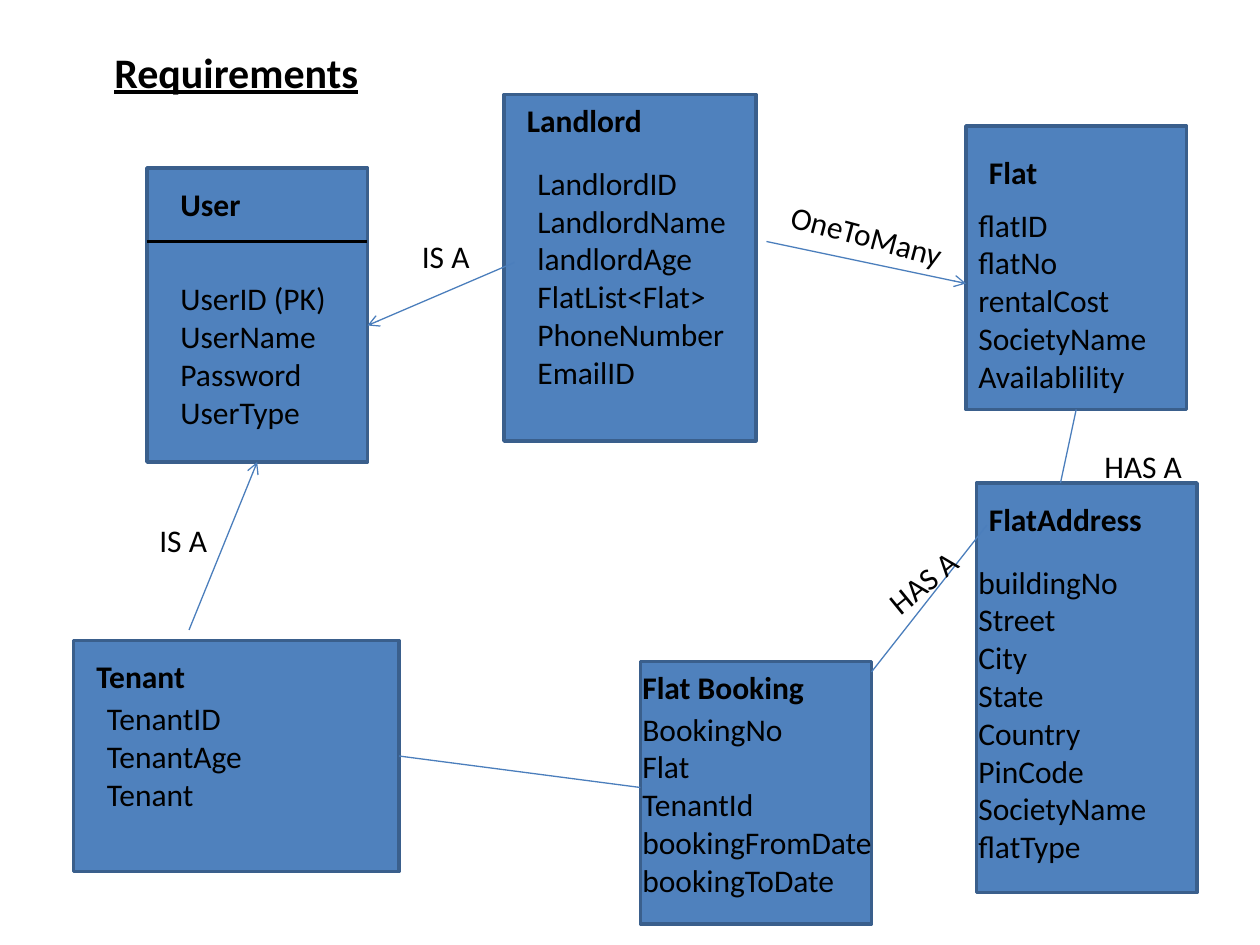
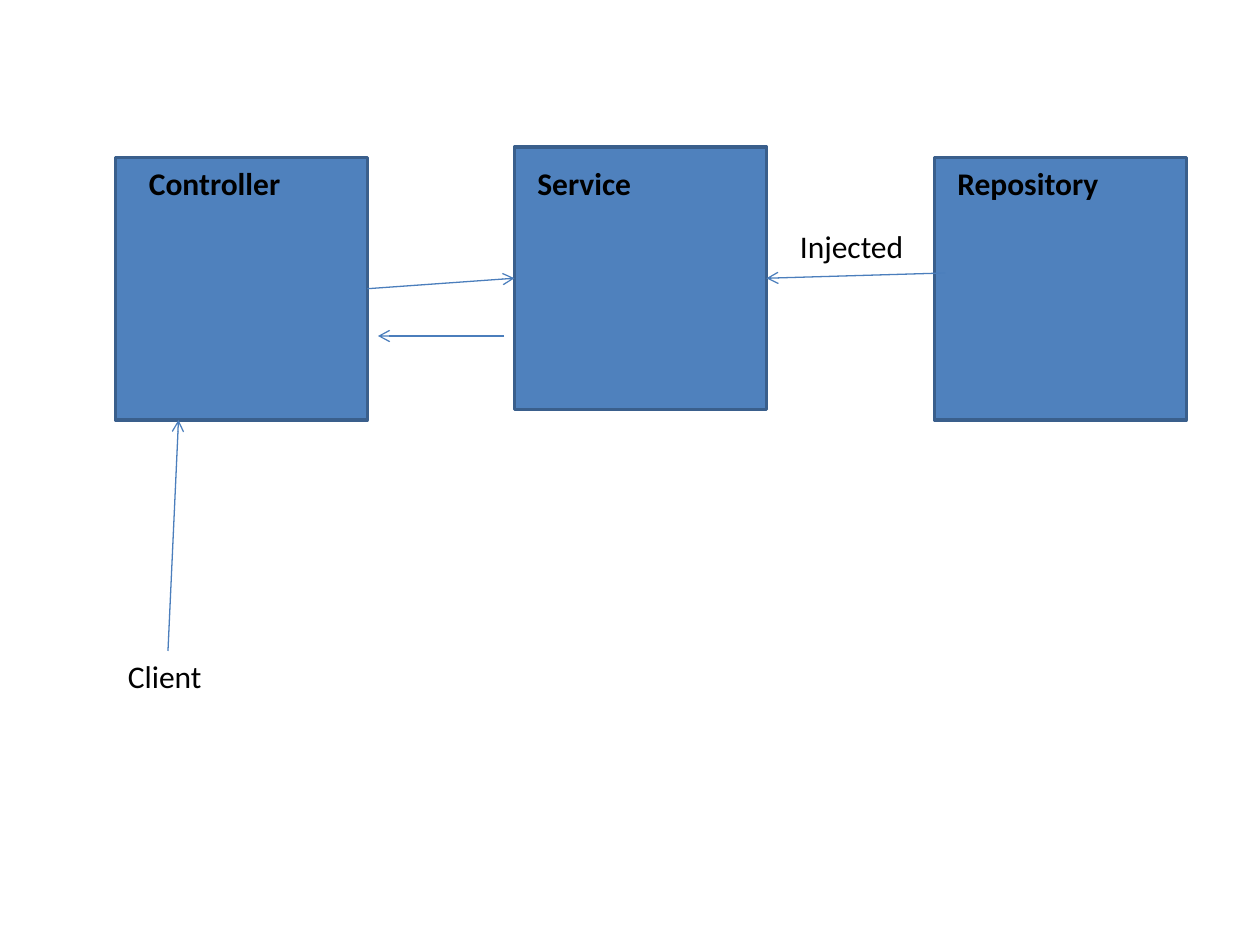
from dataclasses import dataclass

from lxml.etree import SubElement
from pptx import Presentation
from pptx.dml.color import RGBColor
from pptx.enum.shapes import MSO_CONNECTOR, MSO_SHAPE
from pptx.enum.text import MSO_ANCHOR, MSO_AUTO_SIZE, PP_ALIGN
from pptx.oxml.ns import qn
from pptx.shapes.autoshape import Shape
from pptx.slide import Slide
from pptx.util import Emu, Inches, Pt

COLORS = {"text": "000000", "box": "4F81BD", "border": "3A5F8C", "link": "4B7EBC"}
FONT = "Calibri"
COLUMNS = 120  # the slide is a grid of 120 x 90 square cells
CELL = Inches(10) / COLUMNS
LINE_ROWS = 3.64  # height of one 18 pt line
INSET_ROWS = 1.2  # top and bottom insets together


@dataclass(frozen=True)
class Note:
    """Text placed on the grid; without wrap it is a link label."""
    lines: tuple[str, ...]
    column: float
    row: float
    columns: float
    bold: bool = False
    wrap: bool = True
    rotation: float = 0


@dataclass(frozen=True)
class Entity:
    """A class box with its heading and optional fields."""
    column: float
    row: float
    columns: float
    rows: float
    heading: Note
    fields: Note | None = None


@dataclass(frozen=True)
class Link:
    """A straight line between two grid points."""
    start: tuple[float, float]
    end: tuple[float, float]
    arrow: bool = True
    color: str = "link"
    width: float = 0.75


def grid(cells: float) -> Emu:
    """Turn a number of grid cells into a length."""
    return Emu(round(cells * CELL))


def rgb(name: str) -> RGBColor:
    """Look up a colour by its role."""
    return RGBColor.from_string(COLORS[name])


def heading(text: str, column: float, row: float, columns: float) -> Note:
    """Describe the bold name of an entity."""
    return Note((text,), column, row, columns, bold=True)


def label(text: str, column: float, row: float, columns: float, rotation: float = 0) -> Note:
    """Describe the unwrapped label of a link."""
    return Note((text,), column, row, columns, wrap=False, rotation=rotation)


def add_note(page: Slide, note: Note, size: float = 18) -> Shape:
    """Add a text box with one paragraph per line."""
    rows = INSET_ROWS + LINE_ROWS * len(note.lines)
    box = page.shapes.add_textbox(*map(grid, (note.column, note.row, note.columns, rows)))
    box.rotation = note.rotation
    frame = box.text_frame
    frame.word_wrap = note.wrap
    frame.auto_size = MSO_AUTO_SIZE.SHAPE_TO_FIT_TEXT
    for index, line in enumerate(note.lines):
        para = frame.add_paragraph() if index else frame.paragraphs[0]
        span = para.add_run()
        span.text = line
        span.font.name = FONT
        span.font.size = Pt(size)
        span.font.bold = note.bold
        span.font.color.rgb = rgb("text")
    return box


def add_title(page: Slide, text: str) -> None:
    """Add the underlined, centred slide title."""
    box = add_note(page, heading(text, 6, 3.6, 33), size=24)
    box.height = grid(6.4)
    frame = box.text_frame
    frame.auto_size = MSO_AUTO_SIZE.NONE
    frame.vertical_anchor = MSO_ANCHOR.MIDDLE
    para = frame.paragraphs[0]
    para.alignment = PP_ALIGN.CENTER
    para.runs[0].font.underline = True


def add_entity(page: Slide, entity: Entity) -> None:
    """Add a class box and the texts on it."""
    place = (entity.column, entity.row, entity.columns, entity.rows)
    box = page.shapes.add_shape(MSO_SHAPE.RECTANGLE, *map(grid, place))
    box.shadow.inherit = False
    box.fill.solid()
    box.fill.fore_color.rgb = rgb("box")
    box.line.color.rgb = rgb("border")
    box.line.width = Pt(2)
    add_note(page, entity.heading)
    if entity.fields:
        add_note(page, entity.fields)


def add_link(page: Slide, link: Link) -> None:
    """Add a line, with an open arrowhead at its end if wanted."""
    line = page.shapes.add_connector(MSO_CONNECTOR.STRAIGHT, *map(grid, link.start + link.end))
    line.line.color.rgb = rgb(link.color)
    line.line.width = Pt(link.width)
    properties = line.element.spPr
    if link.arrow:
        SubElement(properties.find(qn("a:ln")), qn("a:tailEnd"), type="arrow")
    SubElement(properties, qn("a:effectLst"))


def add_diagram(deck: Presentation, entities: list[Entity], links: list[Link],
                labels: list[Note], title: str = "") -> None:
    """Add a blank page and draw one diagram on it."""
    page = deck.slides.add_slide(deck.slide_layouts[6])
    if title:
        add_title(page, title)
    for entity in entities:
        add_entity(page, entity)
    for link in links:
        add_link(page, link)
    for note in labels:
        add_note(page, note)


CLASSES = [
    Entity(14, 16, 21, 28, heading("User", 16, 17, 18),
           Note(("UserID (PK)", "UserName", "Password", "UserType"), 16, 26, 26)),
    Entity(48, 9, 24, 33, heading("Landlord", 49, 9, 25),
           Note(("LandlordID", "LandlordName", "landlordAge", "FlatList<Flat>",
                 "PhoneNumber", "EmailID"), 50, 15, 28)),
    Entity(7, 61, 31, 22, heading("Tenant", 8, 62, 22),
           Note(("TenantID", "TenantAge", "Tenant"), 9, 66, 25)),
    Entity(92, 12, 21, 27, heading("Flat", 93, 14, 8),
           Note(("flatID", "flatNo", "rentalCost", "SocietyName", "Availablility"), 92, 19, 23)),
    Entity(93, 46, 21, 39, heading("FlatAddress", 93, 47, 19),
           Note(("buildingNo", "Street", "City", "State", "Country", "PinCode",
                 "SocietyName", "flatType"), 92, 53, 24)),
    Entity(61, 63, 22, 25, heading("Flat Booking", 60, 63, 18),
           Note(("BookingNo", "Flat", "TenantId", "bookingFromDate", "bookingToDate"),
                60, 67, 25)),
]
RELATIONS = [
    Link((14, 23), (35, 23), arrow=False, color="text", width=1.5),
    Link((49, 25), (35, 31)),
    Link((18, 60), (24.5, 44)),
    Link((73, 23), (92, 27)),
    Link((102.5, 39), (101, 46), arrow=False),
    Link((94, 50), (83, 64), arrow=False),
    Link((38, 72), (61, 75), arrow=False),
]
RELATION_LABELS = [
    label("IS A", 39, 22, 7),
    label("IS A", 14, 49, 7),
    label("OneToMany", 74, 20, 17.3, rotation=14.9),
    label("HAS A", 104, 42, 9.8),
    label("HAS A", 83, 53, 9.8, rotation=320.7),
]
LAYERS = [
    Entity(11, 15, 24, 25, heading("Controller", 13, 15, 15)),
    Entity(49, 14, 24, 25, heading("Service", 50, 15, 12)),
    Entity(89, 15, 24, 25, heading("Repository", 90, 15, 18)),
]
CALLS = [
    Link((35, 27.5), (49, 26.5)),
    Link((90, 26), (73, 26.5)),
    Link((48, 32), (36, 32)),
    Link((16, 62), (17, 40)),
]
CALL_LABELS = [label("Injected", 75, 21, 12.4), Note(("Client",), 11, 62, 13)]

deck = Presentation()
deck.slide_width = Inches(10)
deck.slide_height = Inches(7.5)
add_diagram(deck, CLASSES, RELATIONS, RELATION_LABELS, title="Requirements")
add_diagram(deck, LAYERS, CALLS, CALL_LABELS)
deck.save("out.pptx")
